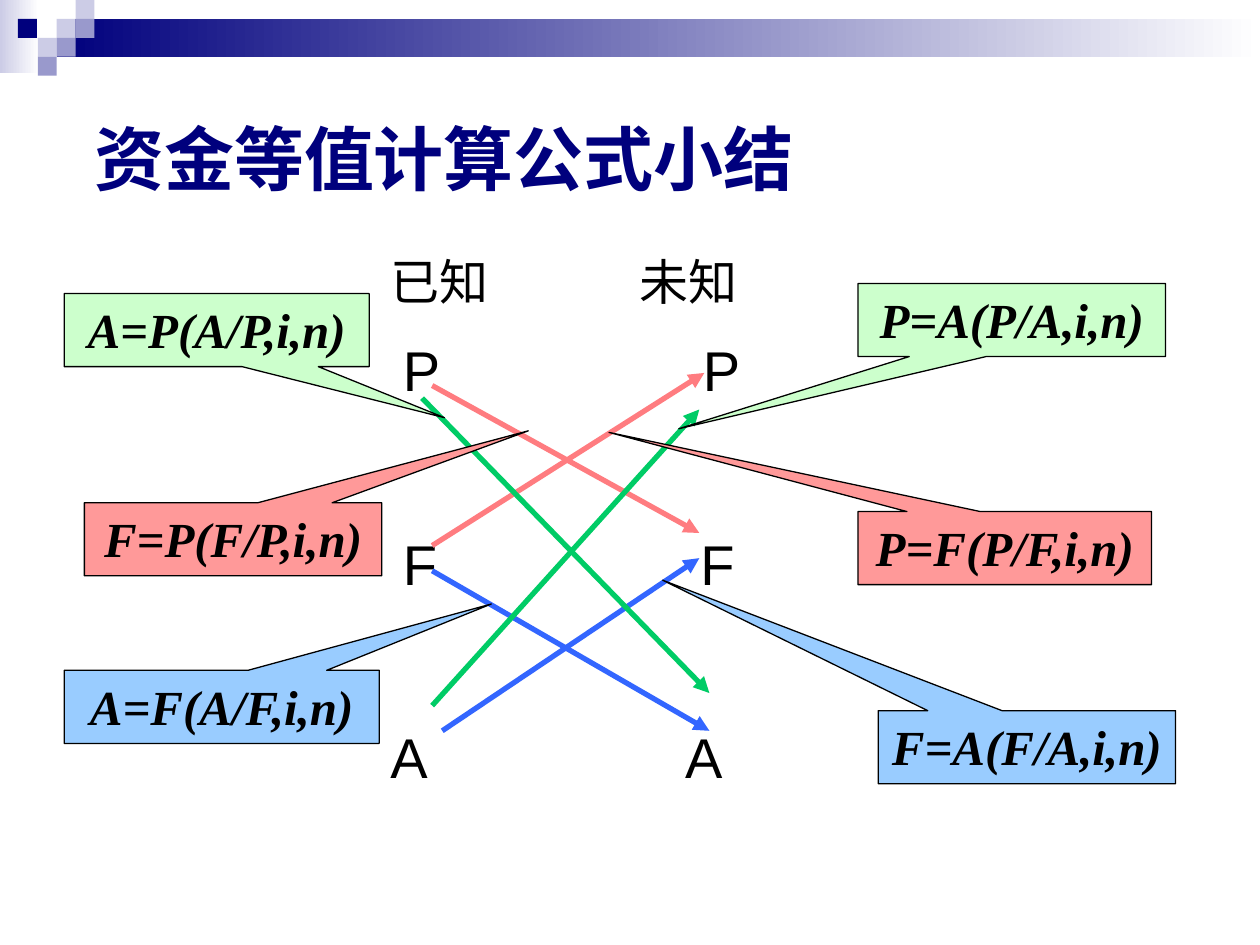
from lxml import etree
from pptx import Presentation
from pptx import util as u
from pptx.dml.color import RGBColor
from pptx.enum import shapes, text
from pptx.oxml.ns import qn

NAVY, LAVENDER, VIOLET, WHITE, BLACK = "00007D", "CCCCE6", "9999CC", "FFFFFF", "000000"


def paint(color_format, hex_color):
    color_format.rgb = RGBColor.from_string(hex_color)


def write(paragraph, words, size, color=BLACK, font="Arial", bold=False, italic=False,
          align=text.PP_ALIGN.LEFT):
    paragraph.alignment = align
    run = paragraph.add_run()
    run.text = words
    run.font.size, run.font.name = u.Pt(size), font
    run.font.bold, run.font.italic = bold, italic
    paint(run.font.color, color)


deck = Presentation()
deck.slide_width, deck.slide_height = u.Inches(10), u.Inches(7.5)
slide = deck.slides.add_slide(deck.slide_layouts[6])

# Header band: two gradients, then a mosaic of small squares
tile = 0.15
mosaic = [
    (0, 0, 0.31, 0.58, (LAVENDER, WHITE)),
    (0.45, 0.15, 9.55, 0.3, (NAVY, WHITE)),
] + [
    (column * tile, row * tile, tile, tile, (color,))
    for column, row, color in [
        (3, 1, LAVENDER), (4, 0, LAVENDER), (4, 1, VIOLET), (2, 2, LAVENDER),
        (0.95, 1, NAVY), (3, 2, VIOLET), (2, 3, VIOLET),
    ]
]
for left, top, width, height, colors in mosaic:
    block = slide.shapes.add_shape(shapes.MSO_SHAPE.RECTANGLE, u.Inches(left), u.Inches(top),
                                   u.Inches(width), u.Inches(height))
    block.shadow.inherit = False
    block.line.fill.background()
    if len(colors) == 2:
        block.fill.gradient()
        block.fill.gradient_angle = 0
        for stop, color in zip(block.fill.gradient_stops, colors):
            paint(stop.color, color)
    else:
        block.fill.solid()
        paint(block.fill.fore_color, colors[0])

# Title
title = slide.shapes.add_textbox(u.Inches(0.65), u.Inches(0.5), u.Inches(9), u.Inches(1.5))
title.text_frame.word_wrap = True
title.text_frame.vertical_anchor = text.MSO_ANCHOR.MIDDLE
write(title.text_frame.paragraphs[0], "资金等值计算公式小结", 40, color=NAVY, bold=True)

# Known and unknown quantities in two tabbed columns
quantities = slide.shapes.add_textbox(u.Inches(3), u.Inches(2), u.Inches(3.34), u.Inches(4.35))
quantities.text_frame.word_wrap = True
rows = [  # words, size, space before, space after, tab stops
    ("已知\t未知", 28, 7, 10.5, [1.98]),
    ("\tP\tP", 32, 8, 12, [0.1, 2.48]),
    ("\tF\tF", 32, 64, 12, [0.1, 2.46]),
    ("A\tA", 32, 64, 12, [2.34]),
]
for index, (words, size, before, after, stops) in enumerate(rows):
    frame = quantities.text_frame
    row = frame.add_paragraph() if index else frame.paragraphs[0]
    row.line_spacing = 0.9
    row.space_before, row.space_after = u.Pt(before), u.Pt(after)
    write(row, words, size)
    tab_list = etree.SubElement(row._p.get_or_add_pPr(), qn("a:tabLst"))
    for stop in stops:
        etree.SubElement(tab_list, qn("a:tab"), pos=str(u.Inches(stop)), algn="l")

# Arrows from each known quantity to the unknown one
arrows = [
    (3.43, 3.06, 5.55, 4.23, "FF7C80"),
    (3.43, 4.33, 5.59, 2.96, "FF7C80"),
    (3.43, 4.53, 5.63, 5.8, "3366FF"),
    (3.51, 5.8, 5.55, 4.43, "3366FF"),
    (3.35, 3.16, 5.63, 5.5, "00CC66"),
    (3.43, 5.6, 5.55, 3.25, "00CC66"),
]
for *ends, color in arrows:
    arrow = slide.shapes.add_connector(shapes.MSO_CONNECTOR.STRAIGHT, *map(u.Inches, ends))
    arrow.line.width = u.Pt(3)
    paint(arrow.line.color, color)
    etree.SubElement(arrow.line._get_or_add_ln(), qn("a:tailEnd"), type="triangle")
    etree.SubElement(arrow._element.spPr, qn("a:effectLst"))

# Formula callouts, each pointing at its arrow
GREEN, RED, BLUE = "CCFFCC", "FF9999", "99CCFF"
formulas = [  # formula, left, top, width, pointer x and y, fill
    ("P=A(P/A,i,n)", 6.81, 2.25, 2.44, -1.083, 1.488, GREEN),
    ("A=P(A/P,i,n)", 0.51, 2.33, 2.42, 0.747, 1.199, GREEN),
    ("F=P(F/P,i,n)", 0.67, 3.99, 2.36, 0.993, -1.485, RED),
    ("P=F(P/F,i,n)", 6.81, 4.06, 2.33, -1.348, -1.583, RED),
    ("A=F(A/F,i,n)", 0.51, 5.32, 2.5, 0.856, -1.408, BLUE),
    ("F=A(F/A,i,n)", 6.97, 5.64, 2.36, -1.225, -2.286, BLUE),
]
for formula, left, top, width, pointer_x, pointer_y, color in formulas:
    callout = slide.shapes.add_shape(shapes.MSO_SHAPE.RECTANGULAR_CALLOUT, u.Inches(left),
                                     u.Inches(top), u.Inches(width), u.Inches(0.58))
    callout.adjustments[0], callout.adjustments[1] = pointer_x, pointer_y
    callout.shadow.inherit = False
    callout.fill.solid()
    paint(callout.fill.fore_color, color)
    callout.line.width = u.Pt(0.75)
    paint(callout.line.color, BLACK)
    callout.text_frame.word_wrap = False
    callout.text_frame.vertical_anchor = text.MSO_ANCHOR.TOP
    write(callout.text_frame.paragraphs[0], formula, 28, font="Times New Roman",
          bold=True, italic=True, align=text.PP_ALIGN.CENTER)

deck.save("out.pptx")
